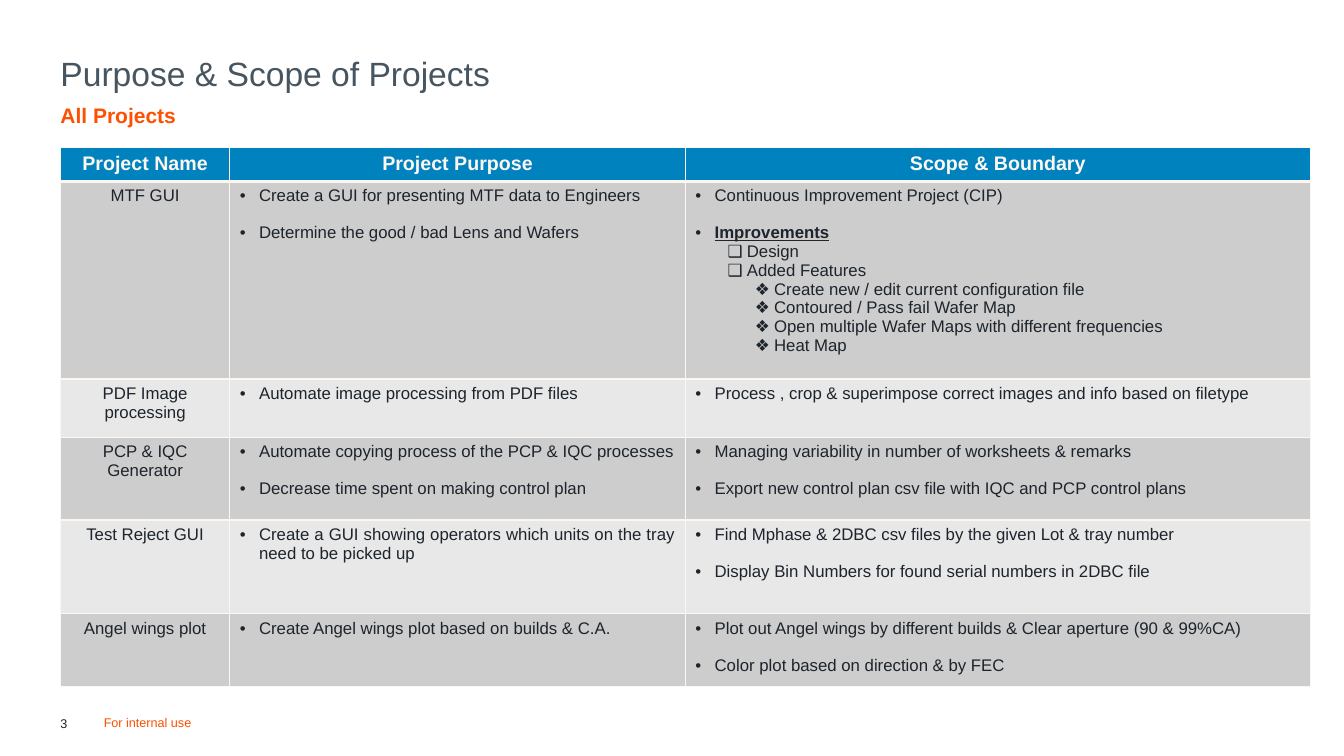
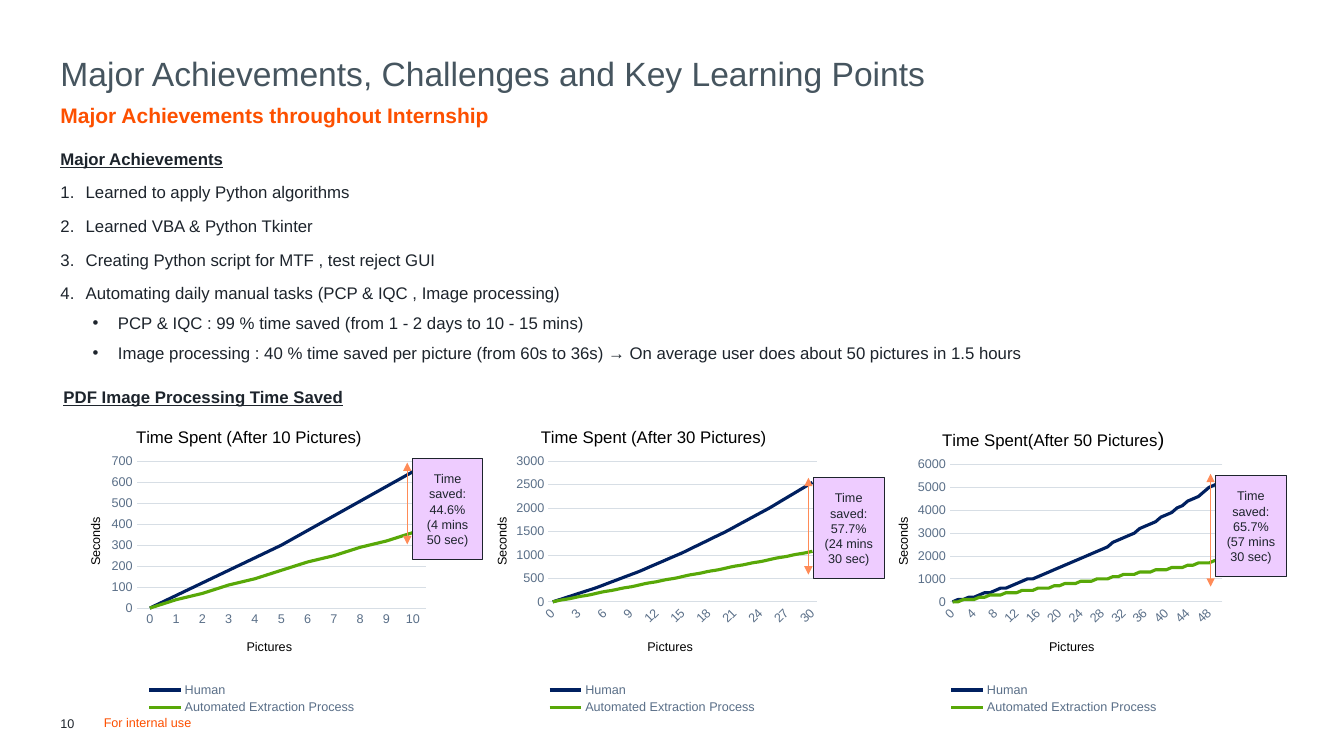
from collections import namedtuple
from dataclasses import dataclass, replace
from itertools import accumulate

from lxml import etree
from pptx import Presentation
from pptx.chart.data import CategoryChartData
from pptx.dml.color import RGBColor
from pptx.enum.chart import XL_CHART_TYPE as ChartType, XL_LEGEND_POSITION as LegendSpot
from pptx.enum.chart import XL_TICK_MARK as TickMark
from pptx.enum.shapes import MSO_CONNECTOR as Connector, MSO_SHAPE as Preset
from pptx.enum.text import MSO_ANCHOR as Anchor, PP_ALIGN as Align
from pptx.oxml import parse_xml
from pptx.oxml.ns import nsdecls, qn
from pptx.util import Inches, Pt


@dataclass(frozen=True)
class Theme:
    """Colours, type sizes and grid shared by the deck."""
    font: str = "Arial"
    ink: str = "1D242C"
    heading: str = "46555F"
    accent: str = "FD5000"
    header: str = "0082BE"
    cream: str = "FDF6F1"
    bands: tuple = ("CDCDCD", "E8E8E8")
    callout: str = "EECCFF"
    arrow: str = "FF8B57"
    axis: str = "5A6F88"
    rule: str = "D7DEE5"
    black: str = "000000"
    series: tuple = ("002060", "58A808")
    title: int = 24
    subtitle: int = 15
    header_size: int = 14
    body: int = 12
    small: int = 9
    cell: float = 0.1
    columns: float = 133.33
    rows: float = 75


@dataclass(frozen=True)
class Box:
    """A rectangle measured in grid cells."""
    left: float
    top: float
    width: float
    height: float

    def inner(self, left, top, width, height):
        """Return a box offset from this one."""
        return Box(self.left + left, self.top + top, width, height)

    def lengths(self):
        """Return the four lengths for a shape."""
        return [grid(n) for n in (self.left, self.top, self.width, self.height)]


THEME = Theme()
Line = namedtuple("Line", "text style")
Panel = namedtuple("Panel", "title count rounding top step box arrow note_top saved smooth layout angle")

TABLE_COLUMNS = (16.8, 45.2, 62)
TABLE_ROWS = (3.4, 19.6, 5.8, 8.2, 9.3, 7.2)
HEADERS = ("Project Name", "Project Purpose", "Scope & Boundary")
GAP = {"space_before": Pt(13)}
POINT = {"bullet": ("•", 0.19, 0.19)}
NEXT_POINT = POINT | GAP
BOX_POINT = {"bullet": ("❑", 0.51, 0.19)}
STAR_POINT = {"bullet": ("❖", 0.78, 0.19)}
STRONG = {"bold": True, "underline": True}


def points(*texts):
    """Return bulleted lines with a gap between them."""
    return [Line(text, NEXT_POINT if n else POINT) for n, text in enumerate(texts)]


PROJECTS = (
    ("MTF GUI",
     points("Create a GUI for presenting MTF data to Engineers", "Determine the good / bad Lens and Wafers"),
     [Line("Continuous Improvement Project (CIP)", POINT),
      Line("Improvements", NEXT_POINT | STRONG),
      Line("Design", BOX_POINT),
      Line("Added Features", BOX_POINT),
      Line("Create new / edit current configuration file", STAR_POINT),
      Line("Contoured / Pass fail Wafer Map", STAR_POINT),
      Line("Open multiple Wafer Maps with different frequencies", STAR_POINT),
      Line("Heat Map", STAR_POINT)]),
    ("PDF Image processing",
     points("Automate image processing from PDF files"),
     points("Process , crop & superimpose correct images and info based on filetype")),
    ("PCP & IQC Generator",
     points("Automate copying process of the PCP & IQC processes", "Decrease time spent on making control plan"),
     points("Managing variability in number of worksheets & remarks",
            "Export new control plan csv file with IQC and PCP control plans")),
    ("Test Reject GUI",
     points("Create a GUI showing operators which units on the tray need to be picked up"),
     points("Find Mphase & 2DBC csv files by the given Lot & tray number",
            "Display Bin Numbers for found serial numbers in 2DBC file")),
    ("Angel wings plot",
     points("Create Angel wings plot based on builds & C.A."),
     points("Plot out Angel wings by different builds & Clear aperture (90 & 99%CA)",
            "Color plot based on direction & by FEC")),
)

NUMBERED = {"bullet": ("1.", 0.25, 0.25), "space_before": Pt(5)}
DETAIL = {"bullet": ("•", 0.57, 0.25), "space_before": Pt(2.5)}
ACHIEVEMENTS = (
    Line("Major Achievements", STRONG),
    Line("Learned to apply Python algorithms", NUMBERED),
    Line("Learned VBA & Python Tkinter", NUMBERED),
    Line("Creating Python script for MTF , test reject GUI", NUMBERED),
    Line("Automating daily manual tasks (PCP & IQC , Image processing)", NUMBERED),
    Line("PCP & IQC : 99 % time saved (from 1 - 2 days to 10 - 15 mins)", DETAIL),
    Line("Image processing : 40 % time saved per picture (from 60s to 36s) → "
         "On average user does about 50 pictures in 1.5 hours", DETAIL),
)
PANELS = (
    Panel([("Time Spent (After 10 Pictures)", 12)], 10, -1, 700, 100, Box(6.2, 40.5, 36.8, 31),
          (34.2, 5.4, 13.5), 5, ("Time saved: 44.6%", "(4 mins 50 sec)"), False, (0.2, 0.17, 0.78, 0.47), 0),
    Panel([("Time Spent (After 30 Pictures)", 12)], 30, -1, 3000, 500, Box(46.6, 40.5, 35.5, 31),
          (33.6, 6.9, 16.5), 6.9, ("Time saved: 57.7%", "(24 mins 30 sec)"), True, (0.22, 0.17, 0.75, 0.45), -45),
    Panel([("Time Spent(After 50 Pictures", 12), (")", 14)], 50, -2, 6000, 1000, Box(86.4, 40.5, 35.6, 31),
          (33.7, 6.5, 17.7), 6.7, ("Time saved: 65.7%", "(57 mins 30 sec)"), False, (0.22, 0.18, 0.76, 0.44), -45),
)


def grid(cells):
    """Convert grid cells to a length."""
    return Inches(cells * THEME.cell)


def set_font(font, size, color, **style):
    """Apply font values and a colour."""
    for name, value in {"name": THEME.font, "size": Pt(size), **style}.items():
        setattr(font, name, value)
    font.color.rgb = RGBColor.from_string(color)


def set_bullet(para, mark, indent, hang):
    """Give a paragraph a bullet or a number with a hanging indent."""
    props = para._p.get_or_add_pPr()
    props.set("marL", str(Inches(indent)))
    props.set("indent", str(-Inches(hang)))
    if mark == "1.":
        etree.SubElement(props, qn("a:buAutoNum"), type="arabicPeriod")
    else:
        etree.SubElement(props, qn("a:buFont"), typeface=THEME.font)
        etree.SubElement(props, qn("a:buChar"), char=mark)


def write(frame, lines, size, color, **shared):
    """Fill a text frame with styled lines."""
    for n, line in enumerate(lines):
        para = frame.paragraphs[0] if n == 0 else frame.add_paragraph()
        style = shared | line.style
        if "bullet" in style:
            set_bullet(para, *style["bullet"])
        for name in ("alignment", "line_spacing", "space_before"):
            if name in style:
                setattr(para, name, style[name])
        span = para.add_run()
        span.text = line.text
        set_font(span.font, size, color, **{k: style[k] for k in ("bold", "underline") if k in style})


def set_frame(frame, margins=(0, 0, 0, 0), **style):
    """Set the wrapping, anchor and margins of a text frame."""
    sides = ("margin_left", "margin_top", "margin_right", "margin_bottom")
    values = {"word_wrap": True, **dict(zip(sides, map(Inches, margins))), **style}
    for name, value in values.items():
        setattr(frame, name, value)


def add_text(page, box, lines, size, color, **shared):
    """Add a text box without margins."""
    frame = page.shapes.add_textbox(*box.lengths()).text_frame
    set_frame(frame)
    write(frame, lines, size, color, **shared)


def add_page(deck, title, subtitle, number):
    """Add a slide with its title, subtitle and footer."""
    page = deck.slides.add_slide(deck.slide_layouts[6])
    head = Box(6, 5.7, 121.1, 3.6)
    foot = Box(6, 71, 2.8, 1.5)
    add_text(page, head, [Line(title, {})], THEME.title, THEME.heading, line_spacing=0.9)
    add_text(page, head.inner(0, 4.2, 121.1, 4), [Line(subtitle, {})], THEME.subtitle, THEME.accent,
             line_spacing=1.1, bold=True)
    add_text(page, foot, [Line(str(number), {})], THEME.small, THEME.ink)
    add_text(page, foot.inner(4.3, -0.1, 18.7, 1.5), [Line("For internal use", {})], THEME.small, THEME.accent)
    return page


def fill_cell(cell, lines, fill, size, color, bottom=1, **shared):
    """Write one table cell with its fill and borders."""
    props = cell._tc.get_or_add_tcPr()
    for side, width in zip("LRTB", (1, 1, 1, bottom)):
        props.append(parse_xml(
            f'<a:ln{side} {nsdecls("a")} w="{Pt(width)}"><a:solidFill>'
            f'<a:srgbClr val="{THEME.cream}"/></a:solidFill></a:ln{side}>'))
    cell.fill.solid()
    cell.fill.fore_color.rgb = RGBColor.from_string(fill)
    write(cell.text_frame, lines, size, color, **shared)


def add_projects(page, box):
    """Add the table of projects."""
    table = page.shapes.add_table(len(TABLE_ROWS), len(TABLE_COLUMNS), *box.lengths()).table
    for column, width in zip(table.columns, TABLE_COLUMNS):
        column.width = grid(width)
    for row, height in zip(table.rows, TABLE_ROWS):
        row.height = grid(height)
    for n, text in enumerate(HEADERS):
        fill_cell(table.cell(0, n), [Line(text, {})], THEME.header, THEME.header_size, THEME.cream,
                  bottom=3, alignment=Align.CENTER, bold=True)
    for r, (name, purpose, scope) in enumerate(PROJECTS, 1):
        contents = ([Line(name, {})], purpose, scope)
        for c, (lines, align) in enumerate(zip(contents, (Align.CENTER, Align.JUSTIFY, Align.LEFT))):
            fill_cell(table.cell(r, c), lines, THEME.bands[(r - 1) % 2], THEME.body, THEME.ink,
                      alignment=align, bold=False)


def place(element, index, shares, inner=False):
    """Fix a chart part at shares of the chart's size."""
    for old in element.findall(qn("c:layout")):
        element.remove(old)
    layout = parse_xml(f'<c:layout {nsdecls("c")}><c:manualLayout/></c:layout>')
    values = [("layoutTarget", "inner")] if inner else []
    values += [("xMode", "edge"), ("yMode", "edge"), *zip("xywh", shares)]
    for name, value in values:
        etree.SubElement(layout[0], qn(f"c:{name}"), val=str(value))
    element.insert(index, layout)


def set_title(title, runs, shares):
    """Write and place a chart or axis title."""
    para = title.text_frame.paragraphs[0]
    for text, size in runs:
        span = para.add_run()
        span.text = text
        set_font(span.font, size, THEME.black, bold=False)
    place(title._element, 1, shares)


def style_chart(chart, panel):
    """Format the axes, series, legend and titles of a chart."""
    set_font(chart.font, 10, THEME.ink)
    space = chart._chartSpace
    space.find(qn("c:chart")).addnext(parse_xml(
        f'<c:spPr {nsdecls("c", "a")}><a:noFill/><a:ln><a:noFill/></a:ln></c:spPr>'))
    place(space.find(f".//{qn('c:plotArea')}"), 0, panel.layout, inner=True)
    set_title(chart.chart_title, panel.title, (0.19, 0.05))
    category, value = chart.category_axis, chart.value_axis
    for axis, text, shares in ((category, "Pictures", (0.49, 0.73)), (value, "Seconds", (0.06, 0.34))):
        axis.major_tick_mark = axis.minor_tick_mark = TickMark.NONE
        set_font(axis.tick_labels.font, THEME.small, THEME.axis)
        set_title(axis.axis_title, [(text, THEME.small)], shares)
    value.axis_title.text_frame._txBody.bodyPr.set("rot", "-5400000")
    category._element.find(f"{qn('c:txPr')}/{qn('a:bodyPr')}").set("rot", str(panel.angle * 60000))
    value.minimum_scale, value.maximum_scale, value.major_unit = 0, panel.top, panel.step
    value.format.line.fill.background()
    for line in (category.format.line, value.major_gridlines.format.line):
        line.color.rgb, line.width = RGBColor.from_string(THEME.rule), Pt(0.75)
    chart.plots[0].vary_by_categories = False
    for series, color, smooth in zip(chart.plots[0].series, THEME.series, (panel.smooth, False)):
        series.smooth = smooth
        series.format.line.color.rgb, series.format.line.width = RGBColor.from_string(color), Pt(2.25)
    chart.has_legend = True
    chart.legend.position, chart.legend.include_in_layout = LegendSpot.BOTTOM, False
    set_font(chart.legend.font, THEME.small, THEME.axis)
    place(chart.legend._element, 1, (0.21, 0.87, 0.6, 0.12))


def add_panel(page, panel):
    """Add a chart with its arrow and callout."""
    data = CategoryChartData()
    data.categories = [str(n) for n in range(panel.count + 1)]
    human = accumulate((60 + n // 5 * 10 for n in range(panel.count)), initial=0)
    data.add_series("Human", [round(n, panel.rounding) for n in human])
    data.add_series("Automated Extraction Process", [round(36 * n, panel.rounding) for n in range(panel.count + 1)])
    frame = page.shapes.add_chart(ChartType.LINE, *panel.box.lengths(), data)
    style_chart(frame.chart, panel)
    x, top, bottom = panel.arrow
    left, upper, _, height = panel.box.inner(x, top, 0, bottom - top).lengths()
    arrow = page.shapes.add_connector(Connector.STRAIGHT, left, upper, left, upper + height)
    arrow.line.color.rgb, arrow.line.width = RGBColor.from_string(THEME.arrow), Pt(1)
    for end in ("headEnd", "tailEnd"):
        etree.SubElement(arrow.line._get_or_add_ln(), qn(f"a:{end}"), type="triangle")
    etree.SubElement(arrow._element.spPr, qn("a:effectLst"))
    note = page.shapes.add_shape(Preset.RECTANGLE, *panel.box.inner(x + 0.5, panel.note_top, 7, 10).lengths())
    note.shadow.inherit = False
    note.fill.solid()
    note.fill.fore_color.rgb = RGBColor.from_string(THEME.callout)
    note.line.color.rgb, note.line.width = RGBColor.from_string(THEME.ink), Pt(0.5)
    set_frame(note.text_frame, (0.1, 0.05, 0.1, 0.05), vertical_anchor=Anchor.MIDDLE)
    write(note.text_frame, [Line(text, {}) for text in panel.saved], THEME.small, THEME.ink, alignment=Align.CENTER)


def main():
    """Build and save the deck."""
    deck = Presentation()
    deck.slide_width, deck.slide_height = grid(THEME.columns), grid(THEME.rows)
    page = add_page(deck, "Purpose & Scope of Projects", "All Projects", 3)
    add_projects(page, Box(6, 14.6, sum(TABLE_COLUMNS), sum(TABLE_ROWS)))
    page = add_page(deck, "Major Achievements, Challenges and Key Learning Points",
                    "Major Achievements throughout Internship", 10)
    body = Box(6, 14.1, 121.1, 23)
    add_text(page, body, ACHIEVEMENTS, THEME.body, THEME.ink, line_spacing=Pt(19))
    for panel in PANELS:
        add_panel(page, panel)
    add_text(page, replace(body, left=6.3, top=38.4, height=2), [Line("PDF Image Processing Time Saved", STRONG)],
             THEME.body, THEME.ink)
    deck.save("out.pptx")


if __name__ == "__main__":
    main()
